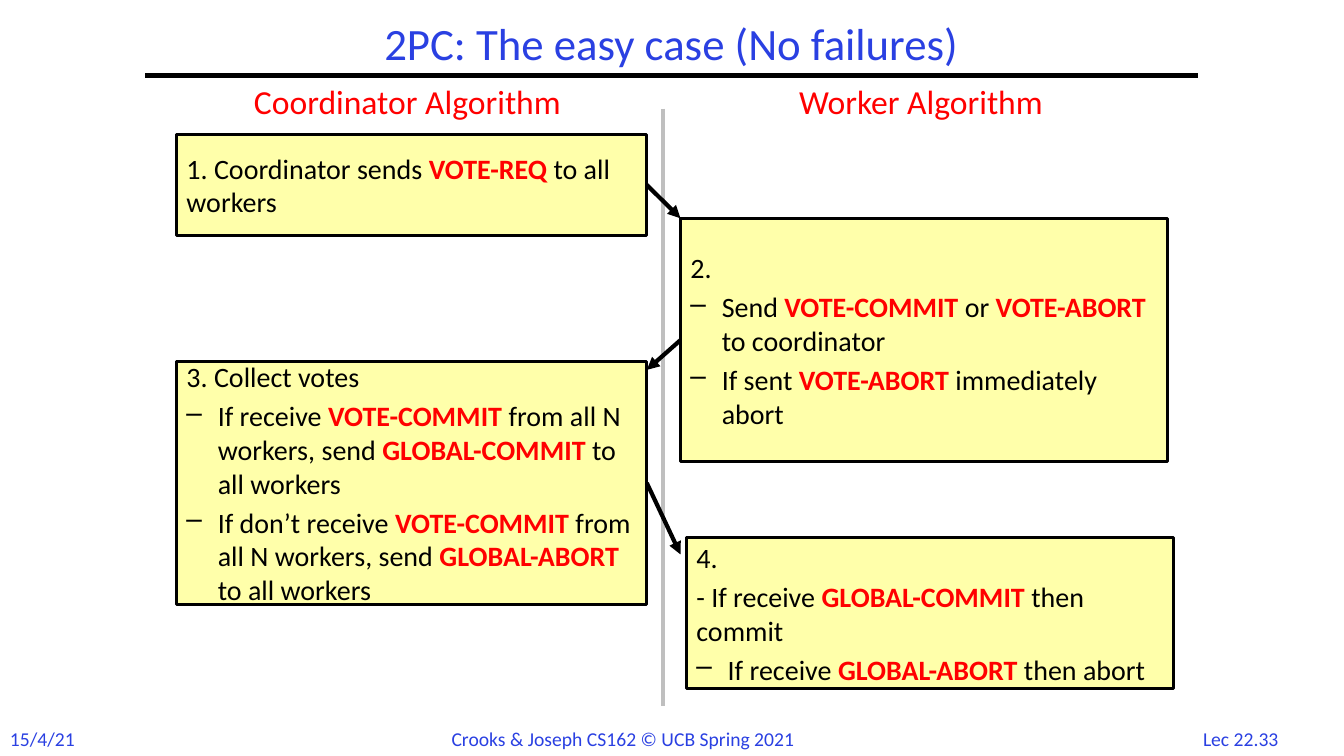
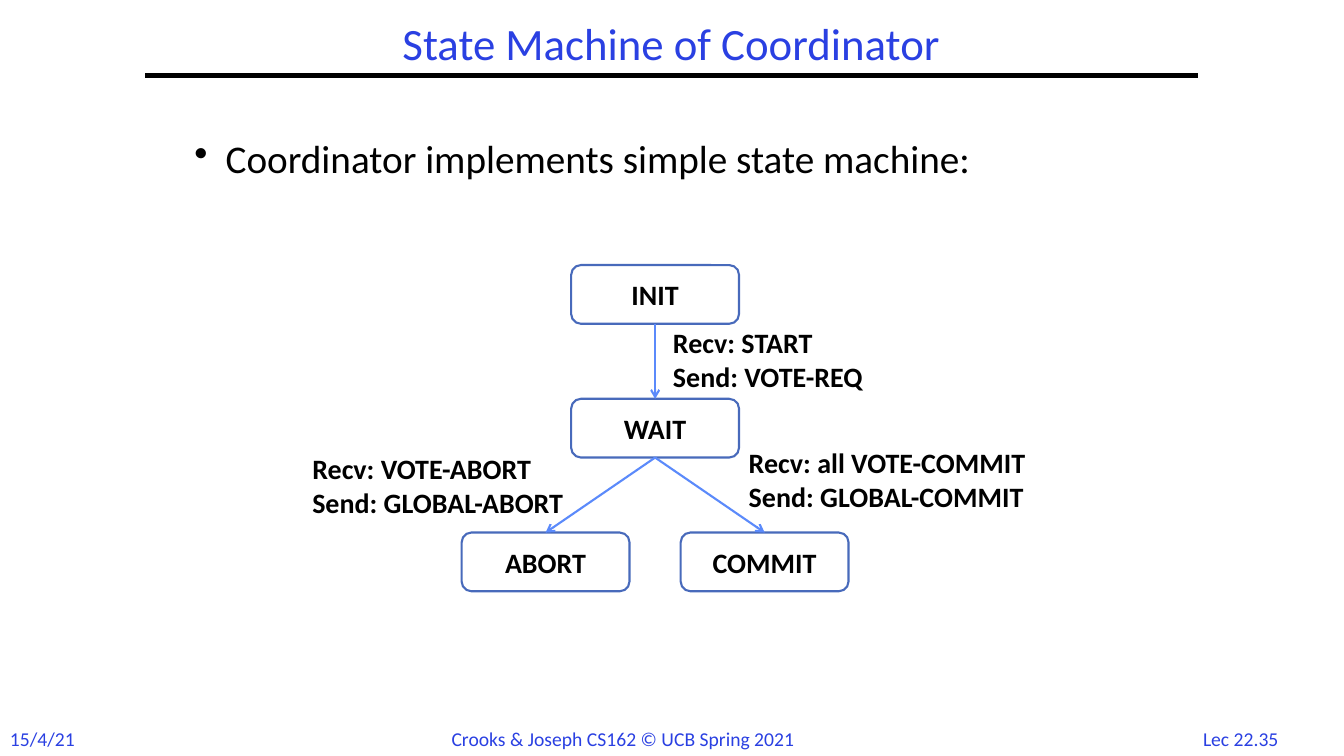
from lxml import etree
from pptx import Presentation
from pptx.dml.color import RGBColor
from pptx.enum.shapes import MSO_CONNECTOR, MSO_SHAPE
from pptx.enum.text import MSO_ANCHOR, MSO_AUTO_SIZE, PP_ALIGN
from pptx.oxml.ns import qn
from pptx.util import Cm, Pt

STRAIGHT = MSO_CONNECTOR.STRAIGHT
RECTANGLE, ROUNDED = MSO_SHAPE.RECTANGLE, MSO_SHAPE.ROUNDED_RECTANGLE
TOP, MIDDLE = MSO_ANCHOR.TOP, MSO_ANCHOR.MIDDLE
LEFT, CENTER = PP_ALIGN.LEFT, PP_ALIGN.CENTER
NO_AUTOFIT = MSO_AUTO_SIZE.NONE
SIDE_TOP, SIDE_LEFT, SIDE_BOTTOM, SIDE_RIGHT = range(4)

FONT = "Calibri"
COLORS = {
    "heading": "2A40E2",
    "text": "000000",
    "message": "FF0000",
    "step": "FFFFAA",
    "divider": "BFBFBF",
    "state": "486ABB",
    "transition": "5B8AFB",
}
MARGINS = (0.25, 0.13)
BULLET_INDENT = 0.79


def color(name):
    return RGBColor.from_string(COLORS[name])


# Text
def add_bullet(paragraph, character):
    properties = paragraph._p.get_or_add_pPr()
    properties.set("marL", str(Cm(BULLET_INDENT)))
    properties.set("indent", str(-Cm(BULLET_INDENT)))
    etree.SubElement(properties, qn("a:buChar"), char=character)


def write_text(frame, lines, size, color_name="text", bold=False, align=LEFT,
               anchor=TOP, margins=MARGINS, gap=0, spacing=None):
    """Lines starting with – or • get a bullet; *starred* parts are message names."""
    frame.word_wrap = True
    frame.auto_size = NO_AUTOFIT
    frame.vertical_anchor = anchor
    frame.margin_left = frame.margin_right = Cm(margins[0])
    frame.margin_top = frame.margin_bottom = Cm(margins[1])
    for index, line in enumerate(lines):
        paragraph = frame.add_paragraph() if index else frame.paragraphs[0]
        paragraph.alignment = align
        if line[0] in "–•":
            add_bullet(paragraph, line[0])
            line = line[1:]
        if index:
            paragraph.space_before = Pt(gap)
        if spacing:
            paragraph.line_spacing = spacing
        for part, words in enumerate(line.split("*")):
            if not words:
                continue
            is_message = part % 2 == 1
            run = paragraph.add_run()
            run.text = words
            run.font.name = FONT
            run.font.size = Pt(size)
            run.font.bold = bold or is_message
            run.font.color.rgb = color("message" if is_message else color_name)


def add_text(slide, box, lines, size, **style):
    text_box = slide.shapes.add_textbox(*map(Cm, box))
    write_text(text_box.text_frame, lines, size, **style)


# Shapes and lines
def add_box(slide, kind, box, fill, line, width):
    shape = slide.shapes.add_shape(kind, *map(Cm, box))
    shape.shadow.inherit = False
    if fill:
        shape.fill.solid()
        shape.fill.fore_color.rgb = color(fill)
    else:
        shape.fill.background()
    shape.line.color.rgb = color(line)
    shape.line.width = Pt(width)
    return shape


def add_line(slide, start, end, color_name, width, arrow=None):
    connector = slide.shapes.add_connector(STRAIGHT, *map(Cm, start + end))
    connector.line.color.rgb = color(color_name)
    connector.line.width = Pt(width)
    properties = connector._element.spPr
    if arrow:
        etree.SubElement(properties.find(qn("a:ln")), qn("a:tailEnd"), type=arrow)
    etree.SubElement(properties, qn("a:effectLst"))
    return connector


# Title, rule and footer shared by all slides
def add_framed_slide(presentation, title, lecture):
    slide = presentation.slides.add_slide(presentation.slide_layouts[5])
    placeholder = slide.shapes.title
    placeholder.left, placeholder.top = Cm(3.66), Cm(0.43)
    placeholder.width, placeholder.height = Cm(26.52), Cm(1.47)
    write_text(placeholder.text_frame, [title], 32, color_name="heading",
               align=CENTER, anchor=MIDDLE, spacing=0.9)
    add_line(slide, (3.66, 1.9), (30.2, 1.9), "text", 3)
    footers = (
        (0, 2.6, "15/4/21", LEFT),
        (11.13, 9.6, "Crooks & Joseph CS162 © UCB Spring 2021", LEFT),
        (29.9, 2.74, lecture, CENTER),
    )
    for left, width, words, align in footers:
        add_text(slide, (left, 18.19, width, 0.86), [words], 14,
                 color_name="heading", align=align)
    return slide


# One yellow step of the protocol
def add_step(slide, box, lines):
    shape = add_box(slide, RECTANGLE, box, "step", "text", 2)
    write_text(shape.text_frame, lines, 20, anchor=MIDDLE, gap=4)
    return shape


def build_protocol_slide(presentation):
    slide = add_framed_slide(
        presentation, "2PC: The easy case (No failures)", "Lec 22.33")
    add_line(slide, (16.71, 2.74), (16.71, 17.78), "divider", 3)

    # Column headings
    for left, heading in ((6.15, "Coordinator Algorithm"), (19.89, "Worker Algorithm")):
        add_text(slide, (left, 1.9, 8.8, 1.27), [heading], 24, color_name="message")

    # Steps
    request = add_step(slide, (4.45, 3.39, 11.85, 2.54), [
        "1. Coordinator sends *VOTE-REQ *to all workers"])
    vote = add_step(slide, (17.15, 5.5, 12.28, 6.14), [
        "2.",
        "–Send *VOTE-COMMIT *or *VOTE-ABORT *to coordinator",
        "–If sent *VOTE-ABORT *immediately abort"])
    collect = add_step(slide, (4.45, 9.1, 11.85, 6.14), [
        "3. Collect votes",
        "–If receive *VOTE-COMMIT *from all N workers, send *GLOBAL-COMMIT* to all workers",
        "–If don’t receive *VOTE-COMMIT *from all N workers, send *GLOBAL-ABORT *to all workers"])
    add_step(slide, (17.3, 13.55, 12.28, 3.81), [
        "4.",
        "- If receive *GLOBAL-COMMIT *then commit",
        "–If receive *GLOBAL-ABORT *then abort"])

    # Messages between the columns
    messages = (
        (request, SIDE_RIGHT, (16.3, 4.66), (17.15, 5.5)),
        (vote, SIDE_LEFT, (17.15, 8.57), (16.3, 9.32)),
        (collect, SIDE_RIGHT, (16.3, 12.17), (17.15, 13.97)),
    )
    for sender, side, start, end in messages:
        arrow = add_line(slide, start, end, "text", 3, "triangle")
        arrow.begin_connect(sender, side)


# State diagram, placed from the top centre of its first state
def add_state_machine(slide, center, top):
    width, height, step, offset = 4.23, 1.48, 3.37, 2.76
    places = {
        "INIT": (0, 0),
        "WAIT": (0, 1),
        "ABORT": (-offset, 2),
        "COMMIT": (offset, 2),
    }
    states = {}
    for name, (shift, row) in places.items():
        box = (center + shift - width / 2, top + row * step, width, height)
        states[name] = add_box(slide, ROUNDED, box, None, "state", 1.5)
        write_text(states[name].text_frame, [name], 20, bold=True,
                   align=CENTER, anchor=MIDDLE, margins=(0, 0))

    transitions = (
        ("INIT", "WAIT", (0.2, 1.4, 6.35), "START", "VOTE-REQ"),
        ("WAIT", "ABORT", (-8.89, 4.58, 8.05), "VOTE-ABORT", "GLOBAL-ABORT"),
        ("WAIT", "COMMIT", (2.11, 4.42, 8.05), "all VOTE-COMMIT", "GLOBAL-COMMIT"),
    )
    for source, target, (left, down, label_width), received, sent in transitions:
        arrow = add_line(slide, (center, top), (center, top), "transition", 1.5, "arrow")
        arrow.begin_connect(states[source], SIDE_BOTTOM)
        arrow.end_connect(states[target], SIDE_TOP)
        add_text(slide, (center + left, top + down, label_width, 1.96),
                 [f"Recv: {received}", f"Send: {sent}"], 20, bold=True)


def build_state_slide(presentation):
    slide = add_framed_slide(presentation, "State Machine of Coordinator", "Lec 22.35")
    add_text(slide, (4.65, 3.38, 22.86, 1.5),
             ["•Coordinator implements simple state machine:"], 28, spacing=0.9)
    add_state_machine(slide, 16.51, 6.68)


def main():
    presentation = Presentation()
    presentation.slide_width, presentation.slide_height = Cm(33.87), Cm(19.05)
    build_protocol_slide(presentation)
    build_state_slide(presentation)
    presentation.save("out.pptx")


if __name__ == "__main__":
    main()
